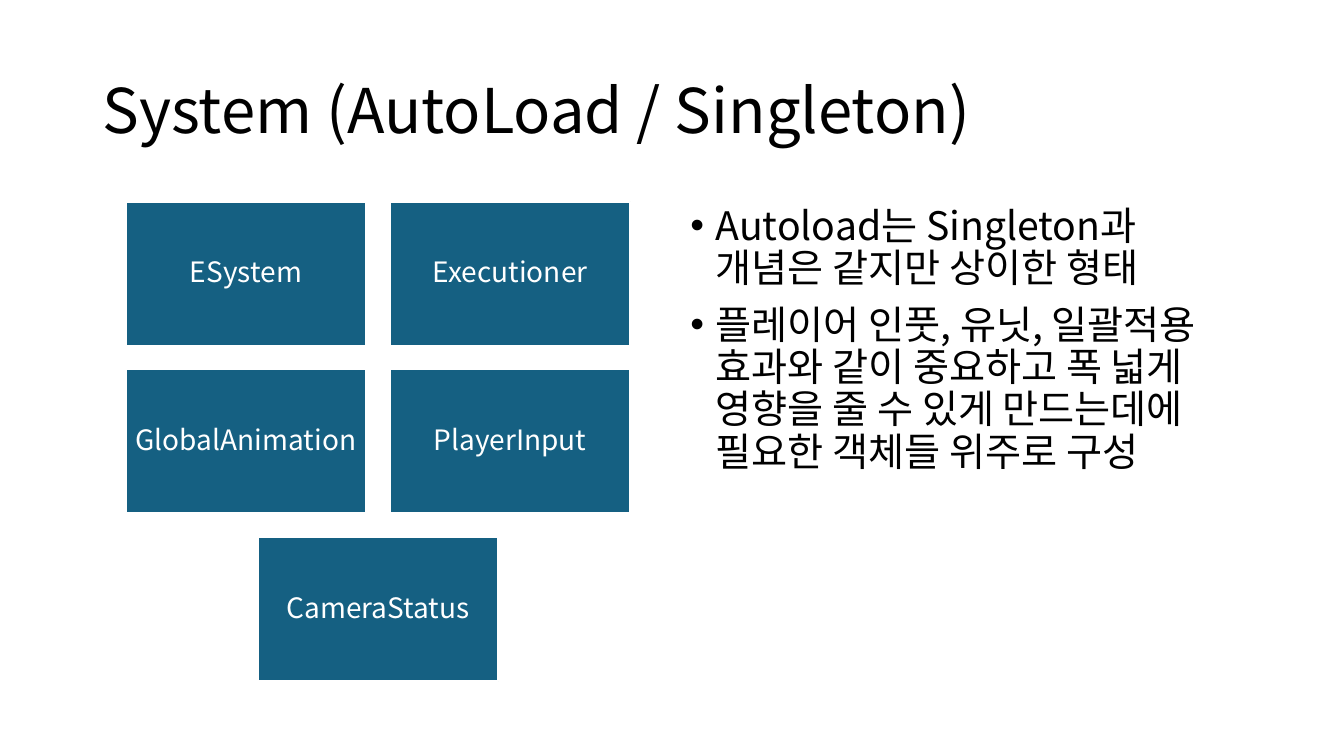
import pptx
import pptx.util
import pptx.dml.color
import pptx.enum.shapes
import pptx.enum.text
import pptx.oxml.ns
import lxml.etree

Inches = pptx.util.Inches
Pt = pptx.util.Pt
ALIGN = pptx.enum.text.PP_ALIGN
ANCHOR = pptx.enum.text.MSO_ANCHOR
FONT = "Noto Sans CJK KR"


def color(value):
    return pptx.dml.color.RGBColor.from_string(value)


def write(frame, lines, size, ink, anchor, inset, spacing):
    frame.word_wrap = True
    frame.vertical_anchor = anchor
    for name, value in inset.items():
        setattr(frame, name, Inches(value))
    for index, line in enumerate(lines):
        paragraph = frame.add_paragraph() if index else frame.paragraphs[0]
        for name, value in spacing.items():
            setattr(paragraph, name, value)
        run = paragraph.add_run()
        run.text = line
        for name, value in {"name": FONT, "size": Pt(size)}.items():
            setattr(run.font, name, value)
        run.font.color.rgb = color(ink)
        east_asian = lxml.etree.SubElement(run.font._element, pptx.oxml.ns.qn("a:ea"))
        east_asian.set("typeface", FONT)


deck = pptx.Presentation()
deck.slide_width = Inches(13.33)
deck.slide_height = Inches(7.5)
slide = deck.slides.add_slide(deck.slide_layouts[6])

text_inset = {"margin_left": 0.1, "margin_right": 0.1, "margin_top": 0.05, "margin_bottom": 0.05}
title = slide.shapes.add_textbox(Inches(0.92), Inches(0.4), Inches(11.5), Inches(1.45))
write(title.text_frame, ["System (AutoLoad / Singleton)"], 44, "000000", ANCHOR.MIDDLE,
      text_inset, {"alignment": ALIGN.LEFT, "line_spacing": 0.9})

singleton_rows = [["ESystem", "Executioner"], ["GlobalAnimation", "PlayerInput"], ["CameraStatus"]]
box_width, box_height, gap = 2.38, 1.43, 0.24
column_step = 2.62
row_step = box_height + gap - 0.005
grid_center = 3.75
box_inset = dict.fromkeys(text_inset, 0.08)
box_spacing = {"alignment": ALIGN.CENTER, "line_spacing": 0.9, "space_after": Pt(7)}

for row, singletons in enumerate(singleton_rows):
    row_left = grid_center - (box_width + column_step * (len(singletons) - 1)) / 2
    for column, singleton in enumerate(singletons):
        box = slide.shapes.add_shape(
            pptx.enum.shapes.MSO_SHAPE.RECTANGLE,
            Inches(row_left + column * column_step), Inches(2 + row * row_step),
            Inches(box_width), Inches(box_height))
        box.shadow.inherit = False
        box.fill.solid()
        box.fill.fore_color.rgb = color("156082")
        box.line.color.rgb = color("FFFFFF")
        box.line.width = Pt(1.5)
        write(box.text_frame, [singleton], 20, "FFFFFF", ANCHOR.MIDDLE, box_inset, box_spacing)

explanation = slide.shapes.add_textbox(Inches(6.75), Inches(2), Inches(5.67), Inches(4.76))
write(explanation.text_frame, [
    "Autoload는 Singleton과 개념은 같지만 상이한 형태",
    "플레이어 인풋, 유닛, 일괄적용 효과와 같이 중요하고 폭 넓게 영향을 줄 수 있게 만드는데에 필요한 객체들 위주로 구성",
], 28, "000000", ANCHOR.TOP, text_inset,
    {"alignment": ALIGN.LEFT, "line_spacing": 0.9, "space_before": Pt(10)})
for point in explanation.text_frame.paragraphs:
    properties = point._p.get_or_add_pPr()
    for name, value in {"marL": Inches(0.25), "indent": Inches(-0.25)}.items():
        properties.set(name, str(value))
    bullet_font = lxml.etree.SubElement(properties, pptx.oxml.ns.qn("a:buFont"))
    bullet_font.set("typeface", "Arial")
    bullet = lxml.etree.SubElement(properties, pptx.oxml.ns.qn("a:buChar"))
    bullet.set("char", "•")

deck.save("out.pptx")
